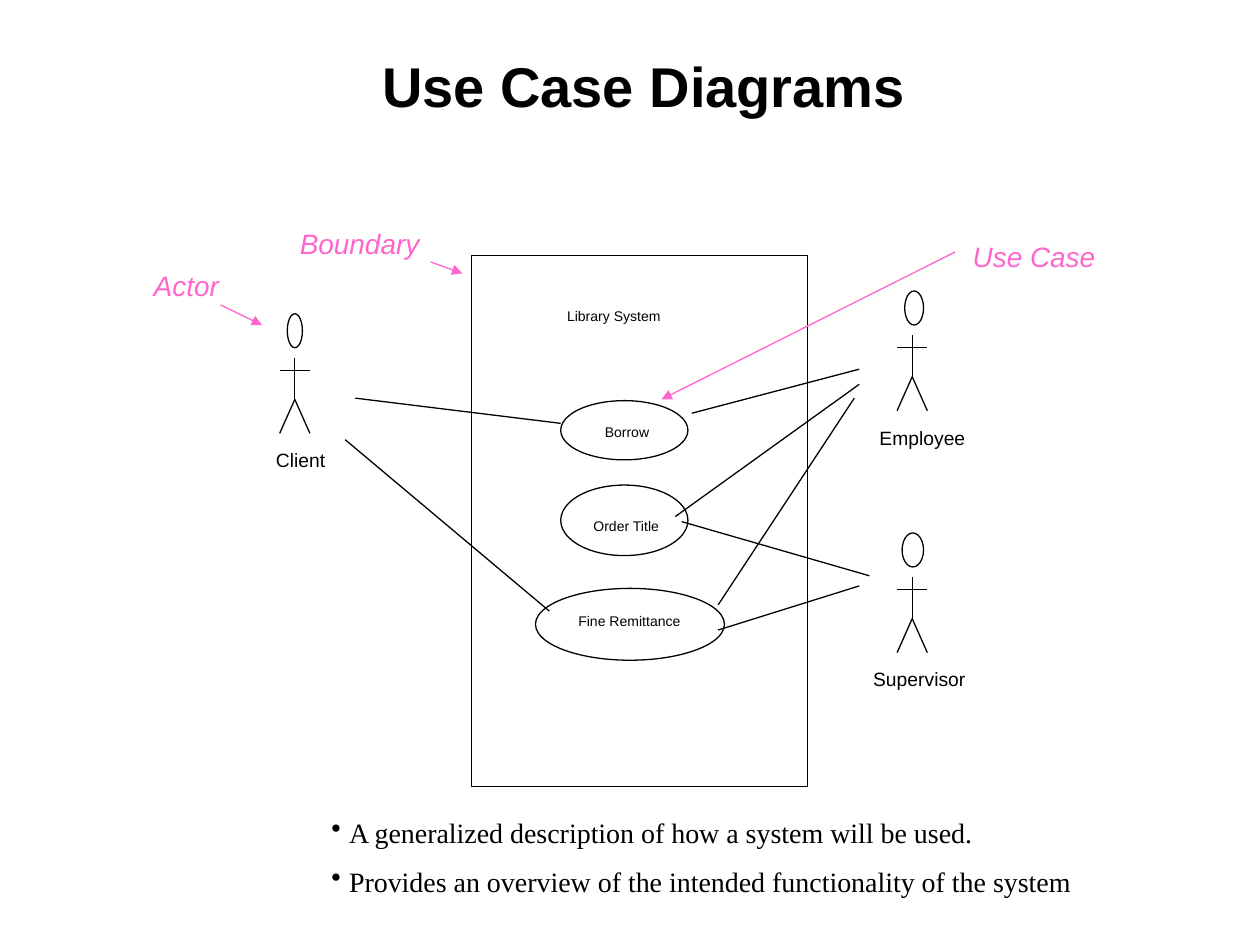
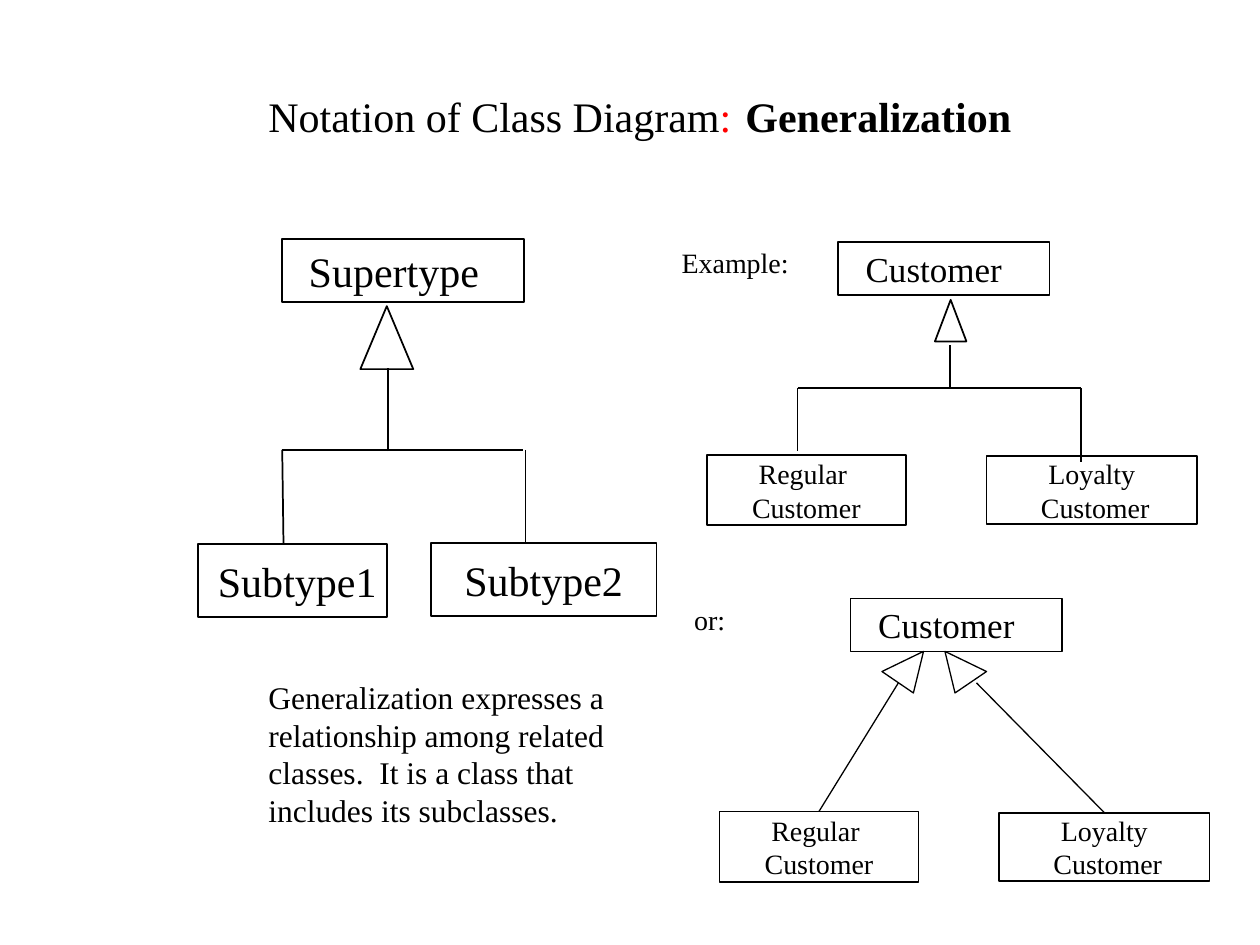
from dataclasses import dataclass
from typing import NamedTuple, Optional

from lxml.etree import SubElement
from pptx import Presentation
from pptx.dml.color import RGBColor
from pptx.enum.shapes import MSO_CONNECTOR, MSO_SHAPE
from pptx.enum.text import MSO_ANCHOR, PP_ALIGN
from pptx.oxml.ns import qn
from pptx.shapes.autoshape import Shape
from pptx.shapes.connector import Connector
from pptx.slide import Slide
from pptx.util import Inches, Pt

COLORS = {"ink": "000000", "paper": "FFFFFF", "note": "FF66CC", "accent": "FF0000"}
SANS, SERIF = "Arial", "Times New Roman"
INSET = 0.05

Point = tuple[float, float]


class Box(NamedTuple):
    left: float
    top: float
    width: float
    height: float


@dataclass(frozen=True)
class Style:
    size: float
    font: str = SERIF
    color: str = "ink"
    bold: bool = False
    italic: bool = False


@dataclass(frozen=True)
class Actor:
    label: str
    x: float
    neck: float
    head_left: float
    head_width: float
    label_left: float


@dataclass(frozen=True)
class UseCase:
    label: str
    oval: Box
    label_at: Point


@dataclass(frozen=True)
class Callout:
    label: str
    box: Box
    start: Point
    end: Point


@dataclass(frozen=True)
class ClassBox:
    lines: tuple[str, ...]
    box: Box
    size: float
    indent: Optional[float] = None  # None centres the name


TITLE = Style(32, SANS, bold=True)
HEADING = Style(24)
CASE_LABEL = Style(8, SANS)
ACTOR_LABEL = Style(11, SANS)
CALLOUT = Style(16, SANS, "note", italic=True)


# Shared drawing helpers
def rgb(name: str) -> RGBColor:
    return RGBColor.from_string(COLORS[name])


def inches(*values: float) -> list[Inches]:
    return [Inches(value) for value in values]


def add_run(paragraph, text: str, style: Style) -> None:
    run = paragraph.add_run()
    run.text = text
    run.font.size = Pt(style.size)
    run.font.name = style.font
    run.font.bold = style.bold
    run.font.italic = style.italic
    run.font.color.rgb = rgb(style.color)


def set_insets(frame, inset: float) -> None:
    frame.margin_left = frame.margin_right = Inches(inset)
    frame.margin_top = frame.margin_bottom = Inches(inset)


def add_text(slide: Slide, box: Box, runs: list[tuple[str, Style]],
             inset: float = INSET, align: PP_ALIGN = PP_ALIGN.LEFT):
    frame = slide.shapes.add_textbox(*inches(*box)).text_frame
    frame.word_wrap = True
    set_insets(frame, inset)
    frame.paragraphs[0].alignment = align
    for text, style in runs:
        add_run(frame.paragraphs[0], text, style)
    return frame


def outline(shape: Shape, weight: float, fill: Optional[str] = None) -> Shape:
    shape.shadow.inherit = False
    if fill:
        shape.fill.solid()
        shape.fill.fore_color.rgb = rgb(fill)
    else:
        shape.fill.background()
    shape.line.color.rgb = rgb("ink")
    shape.line.width = Pt(weight)
    return shape


def add_outline(slide: Slide, kind: MSO_SHAPE, box: Box, weight: float,
                fill: Optional[str] = None) -> Shape:
    return outline(slide.shapes.add_shape(kind, *inches(*box)), weight, fill)


def add_line(slide: Slide, start: Point, end: Point, weight: float = 0.75,
             color: str = "ink", arrow: bool = False) -> Connector:
    line = slide.shapes.add_connector(MSO_CONNECTOR.STRAIGHT, *inches(*start, *end))
    line.line.color.rgb = rgb(color)
    line.line.width = Pt(weight)
    properties = line._element.spPr
    if arrow:
        SubElement(properties.find(qn("a:ln")), qn("a:tailEnd"), type="triangle")
    SubElement(properties, qn("a:effectLst"))
    return line


# Slide 1: use case diagram
BOUNDARY = Box(3.74, 2.03, 2.67, 4.21)
USE_CASES = [
    UseCase("Borrow", Box(4.45, 3.18, 1.01, 0.47), (4.8, 3.36)),
    UseCase("Order Title", Box(4.45, 3.85, 1.01, 0.56), (4.71, 4.11)),
    UseCase("Fine Remittance", Box(4.25, 4.67, 1.5, 0.57), (4.59, 4.86)),
]
ACTORS = [
    Actor("Client", 2.34, 2.84, 2.28, 0.12, 2.19),
    Actor("Employee", 7.24, 2.66, 7.18, 0.15, 6.98),
    Actor("Supervisor", 7.24, 4.58, 7.16, 0.17, 6.93),
]
ASSOCIATIONS = [
    ((2.82, 3.16), (4.45, 3.36)),
    ((2.74, 3.49), (4.36, 4.85)),
    ((6.82, 3.05), (5.36, 4.1)),
    ((6.78, 3.16), (5.7, 4.8)),
    ((5.49, 3.28), (6.82, 2.93)),
    ((5.41, 4.14), (6.9, 4.57)),
    ((5.7, 5), (6.82, 4.65)),
]
CALLOUTS = [
    Callout("Boundary", Box(2.33, 1.75, 1.07, 0.34), (3.42, 2.08), (3.67, 2.17)),
    Callout("Actor", Box(1.17, 2.08, 1.08, 0.34), (1.75, 2.42), (2.08, 2.58)),
    Callout("Use Case", Box(7.67, 1.85, 1.5, 0.34), (7.58, 2), (5.25, 3.17)),
]
SUMMARY = [
    "A generalized description of how a system will be used.",
    "Provides an overview of the intended functionality of the system",
]


def draw_actor(slide: Slide, actor: Actor) -> None:
    x, neck = actor.x, actor.neck
    hip, arms, feet, reach = neck + 0.33, neck + 0.1, neck + 0.6, 0.12
    add_line(slide, (x, neck), (x, hip))
    add_line(slide, (x - reach, arms), (x + reach, arms))
    for foot in (x - reach, x + reach):
        add_line(slide, (x, hip), (foot, feet))
    head = Box(actor.head_left, neck - 0.35, actor.head_width, 0.27)
    add_outline(slide, MSO_SHAPE.OVAL, head, 0.75, "paper")
    add_text(slide, Box(actor.label_left, neck + 0.72, 0.85, 0.16),
             [(actor.label, ACTOR_LABEL)], inset=0)


def draw_summary(slide: Slide) -> None:
    frame = add_text(slide, Box(2.58, 6.42, 6.75, 1), [])
    for index, sentence in enumerate(SUMMARY):
        paragraph = frame.add_paragraph() if index else frame.paragraphs[0]
        paragraph.space_before = Pt(9 if index else 0)
        properties = paragraph._p.get_or_add_pPr()
        properties.set("marL", str(Inches(0.14)))
        properties.set("indent", str(-Inches(0.14)))
        SubElement(properties, qn("a:buChar"), char="•")
        add_run(paragraph, sentence, Style(16))


def build_use_cases(slide: Slide) -> None:
    add_text(slide, Box(1.36, 0.36, 7.5, 0.62), [("Use Case Diagrams", TITLE)],
             align=PP_ALIGN.CENTER)
    add_outline(slide, MSO_SHAPE.RECTANGLE, BOUNDARY, 0.75, "paper")
    add_text(slide, Box(4.5, 2.44, 0.99, 0.14), [("Library System", CASE_LABEL)], inset=0)
    for case in USE_CASES:
        add_outline(slide, MSO_SHAPE.OVAL, case.oval, 0.75, "paper")
        add_text(slide, Box(*case.label_at, 0.9, 0.14), [(case.label, CASE_LABEL)], inset=0)
    for start, end in ASSOCIATIONS:
        add_line(slide, start, end)
    for actor in ACTORS:
        draw_actor(slide, actor)
    draw_summary(slide)
    for callout in CALLOUTS:
        add_text(slide, callout.box, [(callout.label, CALLOUT)])
        add_line(slide, callout.start, callout.end, color="note", arrow=True)


# Slide 2: generalization
TYPES = [
    ClassBox(("Supertype",), Box(2.24, 1.9, 1.92, 0.5), 24, 0.21),
    ClassBox(("Subtype1",), Box(1.57, 4.32, 1.5, 0.58), 24, 0.16),
    ClassBox(("Subtype2",), Box(3.42, 4.31, 1.79, 0.58), 24),
]
CUSTOMERS = [
    ClassBox(("Customer",), Box(6.65, 1.92, 1.68, 0.42), 20, 0.22),
    ClassBox(("Regular ", "Customer"), Box(5.61, 3.61, 1.58, 0.56), 16),
    ClassBox(("Loyalty", " Customer"), Box(7.83, 3.62, 1.67, 0.54), 16),
]
TREE_LINES = [  # start, end, weight
    ((2.24, 3.57), (4.15, 3.57), 1),
    ((2.24, 3.57), (2.25, 4.32), 1),
    ((4.17, 3.57), (4.17, 4.32), 1),
    ((3.08, 3.58), (3.08, 2.92), 0.75),
    ((7.54, 2.74), (7.54, 3.07), 1),
    ((6.33, 3.08), (8.58, 3.08), 1),
    ((6.33, 3.08), (6.33, 3.58), 0.75),
    ((8.58, 3.08), (8.58, 3.67), 0.75),
]
TREE_HEADS = [Box(2.86, 2.43, 0.42, 0.5), Box(7.42, 2.38, 0.25, 0.33)]
SLANTED_HEADS = [
    ((7.33, 5.17), (7, 5.33), (7.25, 5.5)),
    ((7.5, 5.17), (7.58, 5.5), (7.83, 5.33)),
]
SLANTED_STEMS = [((6.5, 6.44), (7.13, 5.42)), ((8.77, 6.46), (7.75, 5.42))]
EXPLANATION = ("Generalization expresses a relationship among related classes.  "
               "It is a class that includes its subclasses.")


def draw_class(slide: Slide, item: ClassBox, dx: float = 0, dy: float = 0) -> Shape:
    box = item.box._replace(left=item.box.left + dx, top=item.box.top + dy)
    rectangle = add_outline(slide, MSO_SHAPE.RECTANGLE, box, 1)
    frame = rectangle.text_frame
    frame.word_wrap = True
    frame.vertical_anchor = MSO_ANCHOR.MIDDLE
    set_insets(frame, 0)
    frame.margin_left = Inches(item.indent or 0)
    for index, line in enumerate(item.lines):
        paragraph = frame.add_paragraph() if index else frame.paragraphs[0]
        paragraph.alignment = PP_ALIGN.CENTER if item.indent is None else PP_ALIGN.LEFT
        add_run(paragraph, line, Style(item.size))
    return rectangle


def draw_customers(slide: Slide, label: str, dx: float, dy: float) -> list[Shape]:
    add_text(slide, Box(5.36 + dx, 1.9 + dy, 1.15, 0.34), [(label, Style(16))])
    return [draw_class(slide, item, dx, dy) for item in CUSTOMERS]


def build_generalization(slide: Slide) -> None:
    add_text(slide, Box(2.08, 0.56, 6.73, 0.6), [
        ("Notation of Class Diagram", HEADING),
        (":", Style(24, color="accent")),
        (" ", Style(32)),
        ("Generalization", Style(24, bold=True)),
    ])
    for item in TYPES:
        draw_class(slide, item)
    add_text(slide, Box(2.08, 5.33, 3.25, 1.26), [(EXPLANATION, Style(18))])

    # Trees with upright heads
    draw_customers(slide, "Example:", 0, 0)
    for head in TREE_HEADS:
        add_outline(slide, MSO_SHAPE.ISOSCELES_TRIANGLE, head, 1)
    for start, end, weight in TREE_LINES:
        add_line(slide, start, end, weight)

    # Alternative with one slanted arrow per subclass
    subclasses = draw_customers(slide, "or:", 0.1, 2.83)[1:]
    for subclass, (start, end), corners in zip(subclasses, SLANTED_STEMS, SLANTED_HEADS):
        add_line(slide, start, end).begin_connect(subclass, 0)
        tip, *base = [tuple(inches(*corner)) for corner in corners]
        builder = slide.shapes.build_freeform(*tip, scale=1.0)
        builder.add_line_segments(base, close=True)
        outline(builder.convert_to_shape(), 0.75)


def main() -> None:
    deck = Presentation()
    deck.slide_width, deck.slide_height = inches(10, 7.5)
    for build in (build_use_cases, build_generalization):
        build(deck.slides.add_slide(deck.slide_layouts[6]))
    deck.save("out.pptx")


if __name__ == "__main__":
    main()
